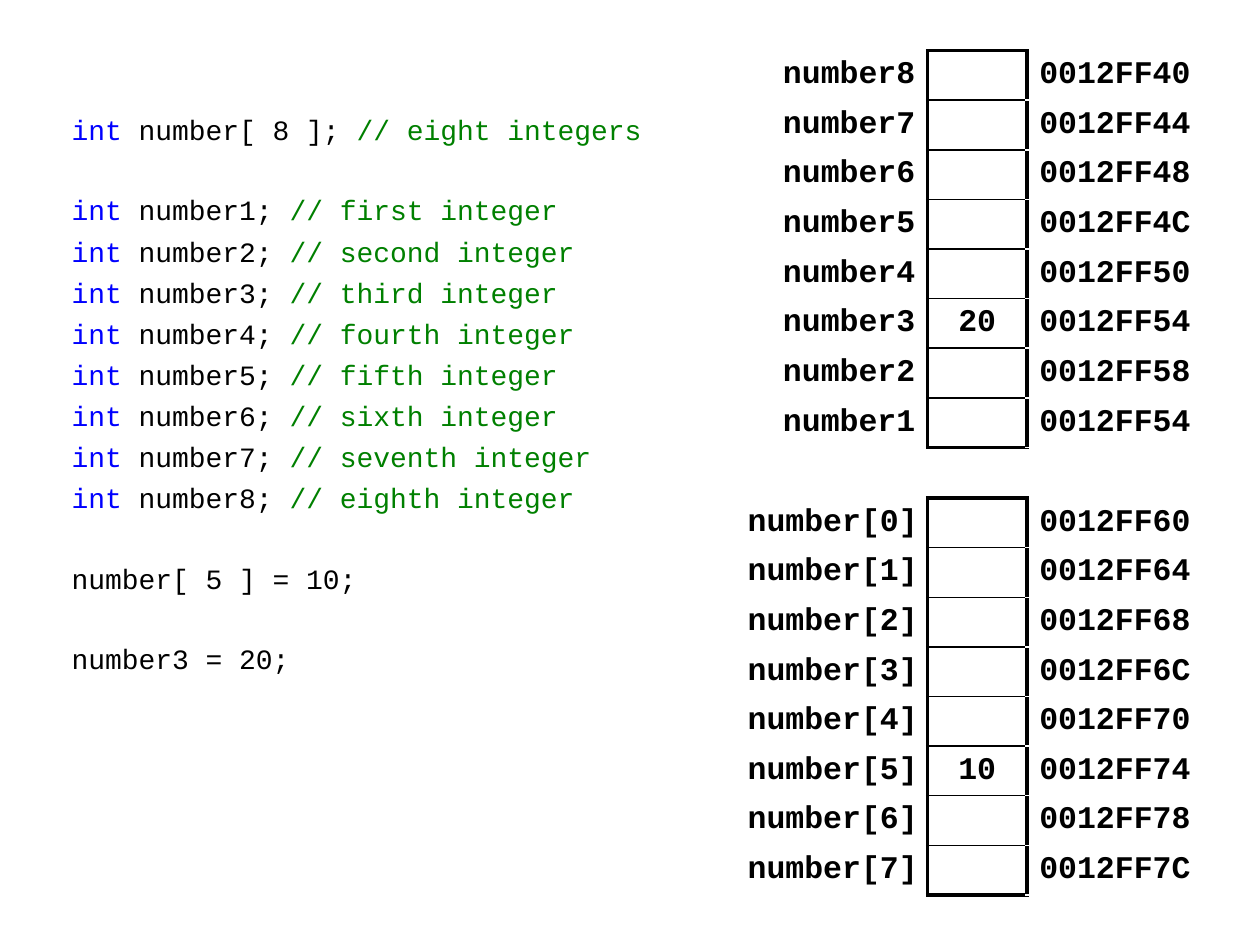
from dataclasses import dataclass

from lxml import etree
from pptx import Presentation
from pptx.dml.color import RGBColor
from pptx.enum.text import MSO_ANCHOR, MSO_AUTO_SIZE, PP_ALIGN
from pptx.oxml.ns import qn
from pptx.util import Cm, Pt

MIDDLE = MSO_ANCHOR.MIDDLE
TOP = MSO_ANCHOR.TOP
NO_AUTOFIT = MSO_AUTO_SIZE.NONE
LEFT, CENTER, RIGHT = PP_ALIGN.LEFT, PP_ALIGN.CENTER, PP_ALIGN.RIGHT


@dataclass(frozen=True)
class Theme:
    font: str = "Courier New"
    text: RGBColor = RGBColor(0, 0, 0)
    keyword: RGBColor = RGBColor(0, 0, 0xFF)
    comment: RGBColor = RGBColor(0, 0x80, 0)
    code_size: Pt = Pt(16)
    memory_size: Pt = Pt(18)
    line_gap: Pt = Pt(4.3)
    block_gap: Pt = Pt(26.7)
    thick: Pt = Pt(2.25)
    thin: Pt = Pt(1)


@dataclass(frozen=True)
class CodeLine:
    statement: str
    keyword: str = ""
    comment: str = ""
    starts_block: bool = False


@dataclass(frozen=True)
class MemoryCell:
    label: str
    address: str
    value: str = ""


@dataclass(frozen=True)
class MemoryMap:
    top: float
    label_width: float
    label_inset: float
    cells: list[MemoryCell]


THEME = Theme()
VALUE_LEFT, VALUE_WIDTH, ADDRESS_WIDTH, ROW_HEIGHT = 18.7, 2, 3.5, 1
INTEGER_BYTES = 4

ORDINALS = ["first", "second", "third", "fourth", "fifth", "sixth", "seventh", "eighth"]
COUNT = len(ORDINALS)
CODE = [
    CodeLine(" number[ 8 ]; ", "int", "// eight integers"),
    *(
        CodeLine(f" number{n}; ", "int", f"// {ordinal} integer", n == 1)
        for n, ordinal in enumerate(ORDINALS, 1)
    ),
    CodeLine("number[ 5 ] = 10;", starts_block=True),
    CodeLine("number3 = 20;", starts_block=True),
]


def addresses(start: int, count: int) -> list[str]:
    return [f"{start + INTEGER_BYTES * i:08X}" for i in range(count)]


variable_addresses = addresses(0x0012FF40, COUNT - 1) + ["0012FF54"]
ARRAY = MemoryMap(10.04, 4, 0.2, [
    MemoryCell(f"number[{i}]", address, "10" if i == 5 else "")
    for i, address in enumerate(addresses(0x0012FF60, COUNT))
])
VARIABLES = MemoryMap(1.02, 3.5, 0.25, [
    MemoryCell(f"number{n}", address, "20" if n == 3 else "")
    for n, address in zip(range(COUNT, 0, -1), variable_addresses)
])


def style_font(font, size: Pt, color: RGBColor, bold: bool = False) -> None:
    font.name, font.size, font.bold = THEME.font, size, bold
    font.color.rgb = color


def write_code(body, lines: list[CodeLine]) -> None:
    body.left, body.top, body.width, body.height = Cm(1.19), Cm(2.03), Cm(12.5), Cm(11.5)
    frame = body.text_frame
    frame.auto_size, frame.vertical_anchor = NO_AUTOFIT, TOP
    frame.margin_top = Cm(0.24)
    for index, line in enumerate(lines):
        paragraph = frame.add_paragraph() if index else frame.paragraphs[0]
        properties = paragraph._p.get_or_add_pPr()
        properties.set("marL", "0")
        properties.set("indent", "0")
        etree.SubElement(properties, qn("a:buNone"))
        gap = THEME.block_gap if line.starts_block else THEME.line_gap
        paragraph.space_before = gap if index else Pt(0)
        parts = [
            (line.keyword, THEME.keyword),
            (line.statement, THEME.text),
            (line.comment, THEME.comment),
        ]
        for words, color in parts:
            if words:
                run = paragraph.add_run()
                run.text = words
                style_font(run.font, THEME.code_size, color)


def set_borders(cell, widths: dict[str, Pt]) -> None:
    """Draw the given sides, keyed L, R, T, B in the order the schema needs."""
    properties = cell._tc.get_or_add_tcPr()
    for side, width in widths.items():
        line = etree.SubElement(properties, qn(f"a:ln{side}"), w=str(int(width)))
        fill = etree.SubElement(line, qn("a:solidFill"))
        etree.SubElement(fill, qn("a:srgbClr"), val=str(THEME.text))


def fill_cell(cell, words: str, align, right_inset: float, borders: dict[str, Pt]) -> None:
    set_borders(cell, borders)
    cell.fill.background()
    cell.vertical_anchor = MIDDLE
    cell.margin_left, cell.margin_right = Cm(0.25), Cm(right_inset)
    cell.margin_top = cell.margin_bottom = Cm(0.1)
    cell.text_frame.text = words
    paragraph = cell.text_frame.paragraphs[0]
    paragraph.alignment = align
    style_font(paragraph.font, THEME.memory_size, THEME.text, True)
    for run in paragraph.runs:
        style_font(run.font, THEME.memory_size, THEME.text, True)


def draw_memory(slide, memory: MemoryMap) -> None:
    widths = [memory.label_width, VALUE_WIDTH, ADDRESS_WIDTH]
    count = len(memory.cells)
    table = slide.shapes.add_table(
        count, len(widths), Cm(VALUE_LEFT - memory.label_width), Cm(memory.top),
        Cm(sum(widths)), Cm(count * ROW_HEIGHT),
    ).table
    table.first_row = table.horz_banding = False
    for column, width in zip(table.columns, widths):
        column.width = Cm(width)
    for index, (row, entry) in enumerate(zip(table.rows, memory.cells)):
        row.height = Cm(ROW_HEIGHT)
        label, value, address = row.cells
        box = {
            "L": THEME.thick,
            "R": THEME.thick,
            "T": THEME.thin if index else THEME.thick,
            "B": THEME.thin if index < count - 1 else THEME.thick,
        }
        fill_cell(label, entry.label, RIGHT, memory.label_inset, {"R": THEME.thick})
        fill_cell(value, entry.value, CENTER, 0.25, box)
        fill_cell(address, entry.address, LEFT, 0.2, {"L": THEME.thick})


def main() -> None:
    presentation = Presentation()
    presentation.slide_width, presentation.slide_height = Cm(25.4), Cm(19.05)
    slide = presentation.slides.add_slide(presentation.slide_layouts[1])
    title = slide.shapes.title
    title._element.getparent().remove(title._element)
    write_code(slide.placeholders[1], CODE)
    for memory in (ARRAY, VARIABLES):
        draw_memory(slide, memory)
    presentation.save("out.pptx")


if __name__ == "__main__":
    main()
